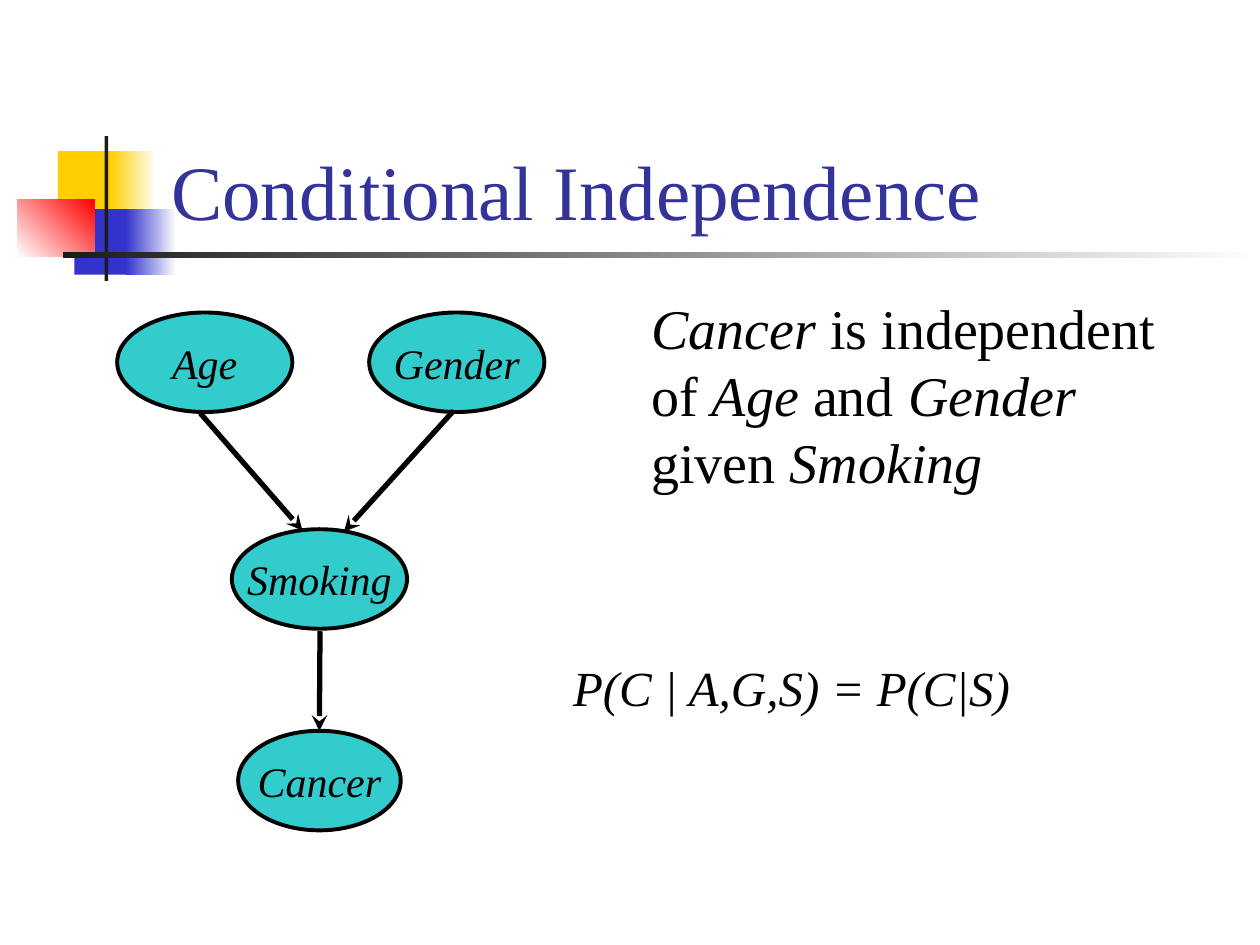
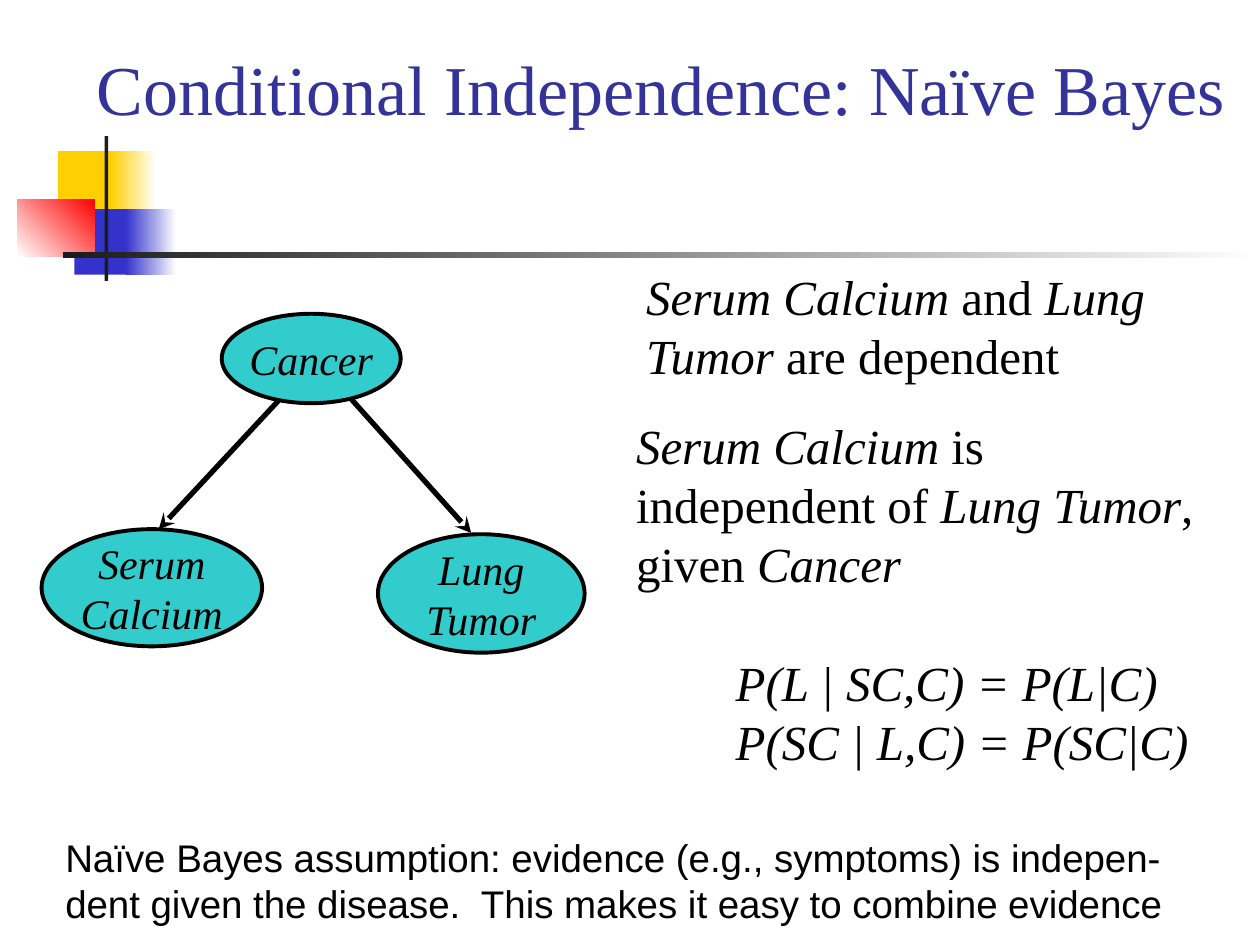
from typing import NamedTuple, Optional

from lxml.etree import SubElement
from pptx import Presentation
from pptx.dml.color import RGBColor
from pptx.enum.shapes import MSO_CONNECTOR as Connector, MSO_SHAPE as Shape
from pptx.enum.text import MSO_ANCHOR as Anchor, MSO_AUTO_SIZE as AutoSize, PP_ALIGN as Align
from pptx.oxml.ns import qn
from pptx.util import Inches, Pt

BLACK = RGBColor(0x00, 0x00, 0x00)
WHITE = RGBColor(0xFF, 0xFF, 0xFF)
YELLOW = RGBColor(0xFF, 0xCF, 0x01)
BLUE = RGBColor(0x33, 0x33, 0xCC)
RED = RGBColor(0xFF, 0x00, 0x00)
CHARCOAL = RGBColor(0x1C, 0x1C, 0x1C)
NAVY = RGBColor(0x33, 0x33, 0x99)
TEAL = RGBColor(0x33, 0xCC, 0xCC)
SERIF = "Times New Roman"
SANS = "Arial"


class Area(NamedTuple):
    left: float
    top: float
    width: float
    height: float

    def lengths(self) -> list:
        return [Inches(value) for value in self]


class Band(NamedTuple):
    area: Area
    color: RGBColor
    fade_to: Optional[RGBColor] = None
    angle: float = 0


class Node(NamedTuple):
    label: str
    area: Area


class Arrow(NamedTuple):
    start: tuple
    end: tuple
    target: Optional[str] = None


class Note(NamedTuple):
    text: str
    area: Area
    size: float = 28
    font: str = SERIF
    wrap: bool = True


class Page(NamedTuple):
    title: Note
    nodes: list
    arrows: list
    notes: list


BANDS = [
    Band(Area(0.46, 1.2, 0.48, 0.52), YELLOW),
    Band(Area(0.88, 1.2, 0.36, 0.52), YELLOW, WHITE),
    Band(Area(0.59, 1.66, 0.46, 0.52), BLUE),
    Band(Area(1, 1.66, 0.4, 0.52), BLUE, WHITE),
    Band(Area(0.14, 1.58, 0.61, 0.46), WHITE, RED, 45),
    Band(Area(0.83, 1.08, 0.03, 1.15), CHARCOAL),
    Band(Area(0.5, 2, 9.5, 0.05), CHARCOAL, WHITE),
]

PAGES = [
    Page(
        Note("Conditional Independence", Area(1.26, 0.67, 8.52, 1.25), 44),
        [
            Node("Smoking", Area(1.84, 4.2, 1.39, 0.79)),
            Node("Gender", Area(2.93, 2.48, 1.39, 0.79)),
            Node("Age", Area(0.93, 2.48, 1.39, 0.79)),
            Node("Cancer", Area(1.89, 5.8, 1.29, 0.79)),
        ],
        [
            Arrow((3.6, 3.26), (2.73, 4.22)),
            Arrow((1.59, 3.28), (2.4, 4.21)),
            Arrow((2.54, 5.01), (2.54, 5.8), "Cancer"),
        ],
        [
            Note("*Cancer* is independent of *Age* and *Gender* given *Smoking*",
                 Area(5.07, 2.28, 4.39, 1.7), 32),
            Note("*P(C | A,G,S) = P(C|S)*", Area(4.45, 5.17, 3.67, 0.57), wrap=False),
        ],
    ),
    Page(
        Note("Conditional Independence: Naïve Bayes", Area(0.67, 0, 9.33, 1.08), 40),
        [
            Node("Cancer", Area(1.76, 2.49, 1.42, 0.71)),
            Node("Lung\nTumor", Area(3, 4.24, 1.64, 0.94)),
            Node("Serum\nCalcium", Area(0.33, 4.2, 1.75, 0.93)),
        ],
        [
            Arrow((2.79, 3.17), (3.74, 4.23)),
            Arrow((2.21, 3.18), (1.26, 4.2)),
        ],
        [
            Note("*Serum Calcium* is independent of *Lung Tumor*, given *Cancer*",
                 Area(4.95, 3.25, 4.72, 1.5)),
            Note("*P(L | SC,C) = P(L|C)*\n*P(SC | L,C) = P(SC|C)*",
                 Area(5.74, 5.13, 3.79, 1.04), wrap=False),
            Note("*Serum Calcium* and *Lung Tumor* are dependent", Area(5.03, 2.07, 4.72, 1.04)),
            Note("Naïve Bayes assumption: evidence (e.g., symptoms) is indepen-dent "
                 "given the disease.  This makes it easy to combine evidence",
                 Area(0.42, 6.57, 9.33, 0.84), 22, SANS),
        ],
    ),
]


def write_text(frame, text: str, *, size: float, font: str = SERIF, color: RGBColor = BLACK,
               align: Align = Align.LEFT, anchor: Anchor = Anchor.TOP, wrap: bool = True) -> None:
    """Lines become paragraphs; pieces between asterisks are italic."""
    frame.word_wrap = wrap
    frame.vertical_anchor = anchor
    for index, line in enumerate(text.split("\n")):
        para = frame.add_paragraph() if index else frame.paragraphs[0]
        para.alignment = align
        for position, piece in enumerate(line.split("*")):
            if piece:
                span = para.add_run()
                span.text = piece
                span.font.size = Pt(size)
                span.font.name = font
                span.font.color.rgb = color
                span.font.italic = position % 2 == 1


def draw_band(slide, band: Band) -> None:
    box = slide.shapes.add_shape(Shape.RECTANGLE, *band.area.lengths())
    box.shadow.inherit = False
    box.line.fill.background()
    if band.fade_to is None:
        box.fill.solid()
        box.fill.fore_color.rgb = band.color
        return
    box.fill.gradient()
    box.fill.gradient_angle = band.angle
    for position, (stop, color) in enumerate(zip(box.fill.gradient_stops, (band.color, band.fade_to))):
        stop.position = position
        stop.color.rgb = color


def draw_title(slide, title: Note) -> None:
    box = slide.shapes.add_textbox(*title.area.lengths())
    write_text(box.text_frame, title.text, size=title.size, color=NAVY, anchor=Anchor.BOTTOM)


def draw_node(slide, node: Node):
    oval = slide.shapes.add_shape(Shape.OVAL, *node.area.lengths())
    oval.shadow.inherit = False
    oval.fill.solid()
    oval.fill.fore_color.rgb = TEAL
    oval.line.color.rgb = BLACK
    oval.line.width = Pt(2.25)
    label = "\n".join(f"*{line}*" for line in node.label.split("\n"))
    write_text(oval.text_frame, label, size=24, align=Align.CENTER, anchor=Anchor.MIDDLE, wrap=False)
    return oval


def draw_arrow(slide, arrow: Arrow, ovals: dict) -> None:
    ends = [Inches(value) for value in arrow.start + arrow.end]
    line = slide.shapes.add_connector(Connector.STRAIGHT, *ends)
    if arrow.target:
        line.end_connect(ovals[arrow.target], 0)
    line.line.color.rgb = BLACK
    line.line.width = Pt(3)
    SubElement(line.line._get_or_add_ln(), qn("a:tailEnd"), type="stealth")
    SubElement(line._element.spPr, qn("a:effectLst"))


def draw_note(slide, note: Note) -> None:
    box = slide.shapes.add_textbox(*note.area.lengths())
    box.text_frame.auto_size = AutoSize.SHAPE_TO_FIT_TEXT
    write_text(box.text_frame, note.text, size=note.size, font=note.font, wrap=note.wrap)


def draw_page(deck, page: Page) -> None:
    slide = deck.slides.add_slide(deck.slide_layouts[6])
    for band in BANDS:
        draw_band(slide, band)
    draw_title(slide, page.title)
    ovals = {node.label: draw_node(slide, node) for node in page.nodes}
    for arrow in page.arrows:
        draw_arrow(slide, arrow, ovals)
    for note in page.notes:
        draw_note(slide, note)


def main() -> None:
    deck = Presentation()
    deck.slide_width = Inches(10)
    deck.slide_height = Inches(7.5)
    for page in PAGES:
        draw_page(deck, page)
    deck.save("out.pptx")


if __name__ == "__main__":
    main()
